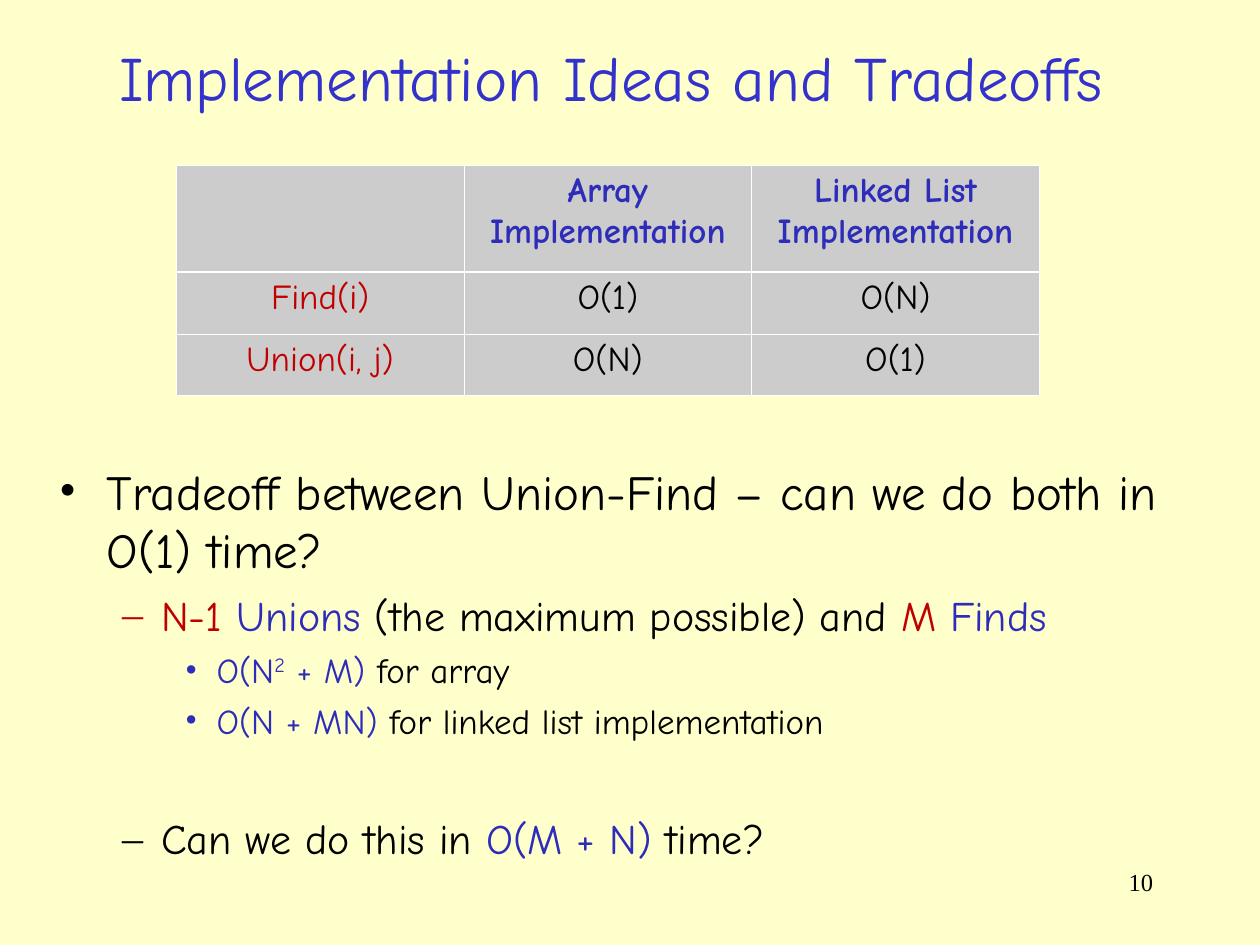
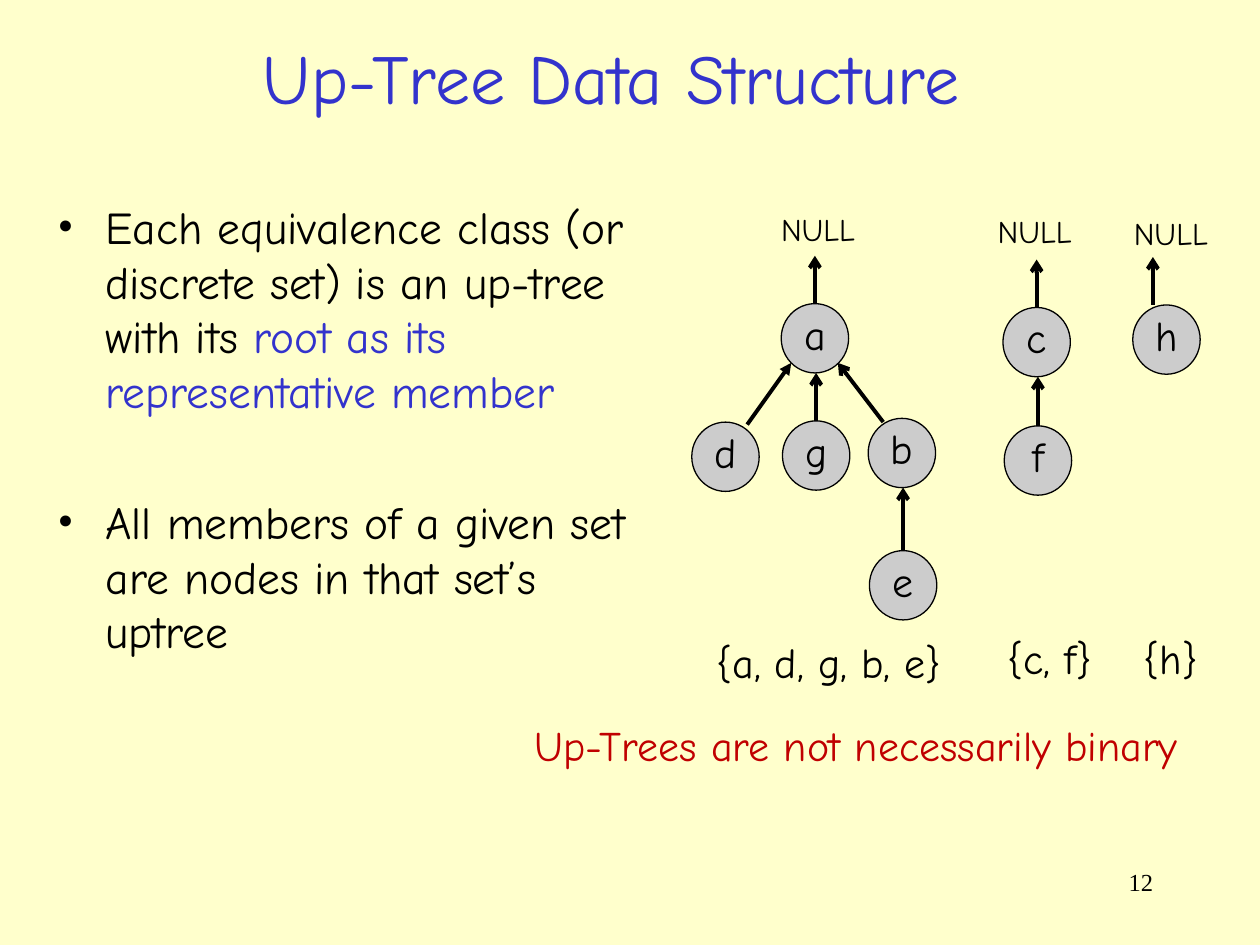
"""Build two slides on union-find: implementation tradeoffs and up-trees."""
from lxml import etree
from pptx import Presentation, util as u
from pptx.dml.color import RGBColor
from pptx.enum import shapes, text
from pptx.oxml.ns import qn

COLORS = {"paper": "FFFFCC", "title": "3333CC", "blue": "2D2DB9", "red": "C00000",
          "black": "000000", "grey": "CCCCCC", "white": "FFFFFF"}
RGB = {name: RGBColor.from_string(value) for name, value in COLORS.items()}
FONT, PLAIN_FONT = "Comic Neue", "Times New Roman"
ALIGN = text.PP_ALIGN

prs = Presentation()
prs.slide_width, prs.slide_height = u.Inches(10), u.Inches(7.5)
COL, ROW = prs.slide_width / 100, prs.slide_height / 75


def grid(x, y, *size):
    """Turn columns and rows into slide lengths."""
    return [round(n * unit) for n, unit in zip((x, y, *size), (COL, ROW) * 2)]


def write(p, runs, size=24, color="black", font=FONT, bold=False, align=ALIGN.LEFT,
          bullet=None, left=0, hang=0, before=0):
    """Fill a paragraph with a string or with (text, color, baseline) runs."""
    p.alignment = align
    p.space_before = u.Pt(before)
    if bullet:
        char, bullet_color = bullet
        pPr = p._p.get_or_add_pPr()
        pPr.set("marL", str(round(left * COL)))
        pPr.set("indent", str(round(-hang * COL)))
        clr = etree.SubElement(pPr, qn("a:buClr"))
        etree.SubElement(clr, qn("a:srgbClr"), val=COLORS[bullet_color])
        etree.SubElement(pPr, qn("a:buFont"), typeface=PLAIN_FONT)
        etree.SubElement(pPr, qn("a:buChar"), char=char)
    for words, run_color, *baseline in [(runs, color)] if isinstance(runs, str) else runs:
        r = p.add_run()
        r.text = words
        r.font.size, r.font.name, r.font.bold = u.Pt(size), font, bold
        r.font.color.rgb = RGB[run_color]
        if baseline:
            r._r.get_or_add_rPr().set("baseline", str(baseline[0]))


LEVELS = [dict(left=3.8, hang=3.8), dict(left=8.1, hang=3.1, size=24),
          dict(left=12.5, hang=2.5, size=20)]
pages = [
    ("Implementation Ideas and Tradeoffs", 36, "10", (3.7, 36.1, 92.5, 35.6), [
        (0, "Tradeoff between Union-Find – can we do both in O(1) time?",
         dict(size=28, bullet=("•", "black"))),
        (1, [("N-1 ", "red"), ("Unions", "blue"), (" (the maximum possible) and ", "black"),
             ("M ", "red"), ("Finds", "blue")], dict(bullet=("–", "red"), before=6)),
        (2, [("O(N", "blue"), ("2", "blue", 30000), (" + M) ", "blue"),
             ("for array", "black")], dict(bullet=("•", "blue"), before=5)),
        (2, [("O(N + MN) ", "blue"), ("for linked list implementation", "black")],
         dict(bullet=("•", "blue"), before=5)),
        (1, [("Can we do this in ", "black"), ("O(M + N)", "blue"), (" time?", "black")],
         dict(bullet=("–", "black"), before=41)),
    ]),
    ("Up-Tree Data Structure", 40, "12", (3.6, 15.3, 47.6, 44.1), [
        (0, [("Each equivalence class (or discrete set) is an up-tree with its ", "black"),
             ("root as its representative member", "title")],
         dict(size=26, bullet=("•", "black"))),
        (0, "All members of a given set are nodes in that set’s uptree",
         dict(size=26, bullet=("•", "black"), before=44)),
    ]),
]

for title, title_size, number, body, points in pages:
    s = prs.slides.add_slide(prs.slide_layouts[6])
    s.background.fill.solid()
    s.background.fill.fore_color.rgb = RGB["paper"]

    tf = s.shapes.add_textbox(*grid(71.7, 68.3, 20.8, 5)).text_frame
    tf.word_wrap = True
    write(tf.paragraphs[0], number, size=14, font=PLAIN_FONT, align=ALIGN.RIGHT)

    tf = s.shapes.add_textbox(*grid(3.7, 2.6, 89.6, 6.9)).text_frame
    tf.word_wrap = True
    tf.vertical_anchor = text.MSO_ANCHOR.MIDDLE
    write(tf.paragraphs[0], title, size=title_size, color="title", align=ALIGN.CENTER)

    tf = s.shapes.add_textbox(*grid(*body)).text_frame
    tf.word_wrap = True
    for i, (level, runs, fmt) in enumerate(points):
        p = tf.add_paragraph() if i else tf.paragraphs[0]
        write(p, runs, **{**LEVELS[level], **fmt})

costs_slide, tree_slide = prs.slides

costs = [["", "Array Implementation", "Linked List Implementation"],
         ["Find(i)", "O(1)", "O(N)"],
         ["Union(i, j)", "O(N)", "O(1)"]]
table = costs_slide.shapes.add_table(3, 3, *grid(14, 13.1, 68.5, 18.3)).table
table.first_row = table.horz_banding = False
for row, height in zip(table.rows, (8.5, 4.9, 4.9)):
    row.height = round(height * ROW)
for i, row in enumerate(costs):
    for j, words in enumerate(row):
        cell = table.cell(i, j)
        tcPr = cell._tc.get_or_add_tcPr()
        for side in "LRTB":
            thick = (i, side) in [(0, "B"), (1, "T")]
            ln = etree.SubElement(tcPr, qn(f"a:ln{side}"), w=str(u.Pt(1.47 if thick else 0.45)))
            fill = etree.SubElement(ln, qn("a:solidFill"))
            etree.SubElement(fill, qn("a:srgbClr"), val=COLORS["white"])
        cell.fill.solid()
        cell.fill.fore_color.rgb = RGB["grey"]
        if words:
            color = "blue" if i == 0 else "red" if j == 0 else "black"
            write(cell.text_frame.paragraphs[0], words, size=20, color=color,
                  bold=i == 0, align=ALIGN.CENTER)

NODE_W, NODE_H = 5.35, 5.5
nodes = {"a": (62, 24.1), "d": (54.9, 33.5), "g": (62.1, 33.4), "b": (68.9, 33.2),
         "e": (69, 43.7), "c": (79.6, 24.4), "f": (79.7, 33.8), "h": (89.9, 24.2)}
circles = {}
for name, place in nodes.items():
    sp = tree_slide.shapes.add_shape(shapes.MSO_SHAPE.OVAL, *grid(*place, NODE_W, NODE_H))
    sp.shadow.inherit = False
    sp.fill.solid()
    sp.fill.fore_color.rgb = RGB["grey"]
    sp.line.color.rgb = RGB["black"]
    sp.line.width = u.Pt(0.75)
    tf = sp.text_frame
    tf.word_wrap = False
    tf.margin_left = tf.margin_right = tf.margin_top = 0
    tf.margin_bottom = round(0.8 * ROW)
    tf.vertical_anchor = text.MSO_ANCHOR.MIDDLE
    write(tf.paragraphs[0], name, align=ALIGN.CENTER)
    circles[name] = sp

arrows = [((59.3, 33.7), (62.8, 28.8), "triangle", None),
          ((70.1, 33.5), (66.5, 28.8), "arrow", None),
          ((91.5, 24.2), (91.5, 20.4), "arrow", None)]
for name, tip_y in [("g", 29.6), ("e", 38.7), ("f", 29.9), ("a", 20.3), ("c", 20.6)]:
    x, y = nodes[name]
    middle = x + NODE_W / 2
    arrows.append(((middle, y), (middle, tip_y), "arrow", circles[name]))
for begin, tip, head, child in arrows:
    line = tree_slide.shapes.add_connector(shapes.MSO_CONNECTOR.STRAIGHT,
                                           *grid(*begin), *grid(*tip))
    if child:
        line.begin_connect(child, 0)
    line.line.color.rgb = RGB["black"]
    line.line.width = u.Pt(2.25)
    etree.SubElement(line.line._get_or_add_ln(), qn("a:tailEnd"), type=head)
    etree.SubElement(line._element.spPr, qn("a:effectLst"))

labels = [("NULL", (61, 16.2, 7.9, 4), 18, "black"),
          ("NULL", (78.2, 16.3, 7.9, 4), 18, "black"),
          ("NULL", (89, 16.5, 7.9, 4), 18, "black"),
          ("{a, d, g, b, e}", (55.9, 50, 19.8, 5), 24, "black"),
          ("{c, f}", (79, 49.7, 8.7, 5), 24, "black"),
          ("{h}", (89.8, 49.7, 6.5, 5), 24, "black"),
          ("Up-Trees are not necessarily binary", (41.4, 56.6, 53.4, 5), 24, "red")]
for words, place, size, color in labels:
    tf = tree_slide.shapes.add_textbox(*grid(*place)).text_frame
    tf.word_wrap = False
    tf.auto_size = text.MSO_AUTO_SIZE.SHAPE_TO_FIT_TEXT
    write(tf.paragraphs[0], words, size=size, color=color)

prs.save("out.pptx")
